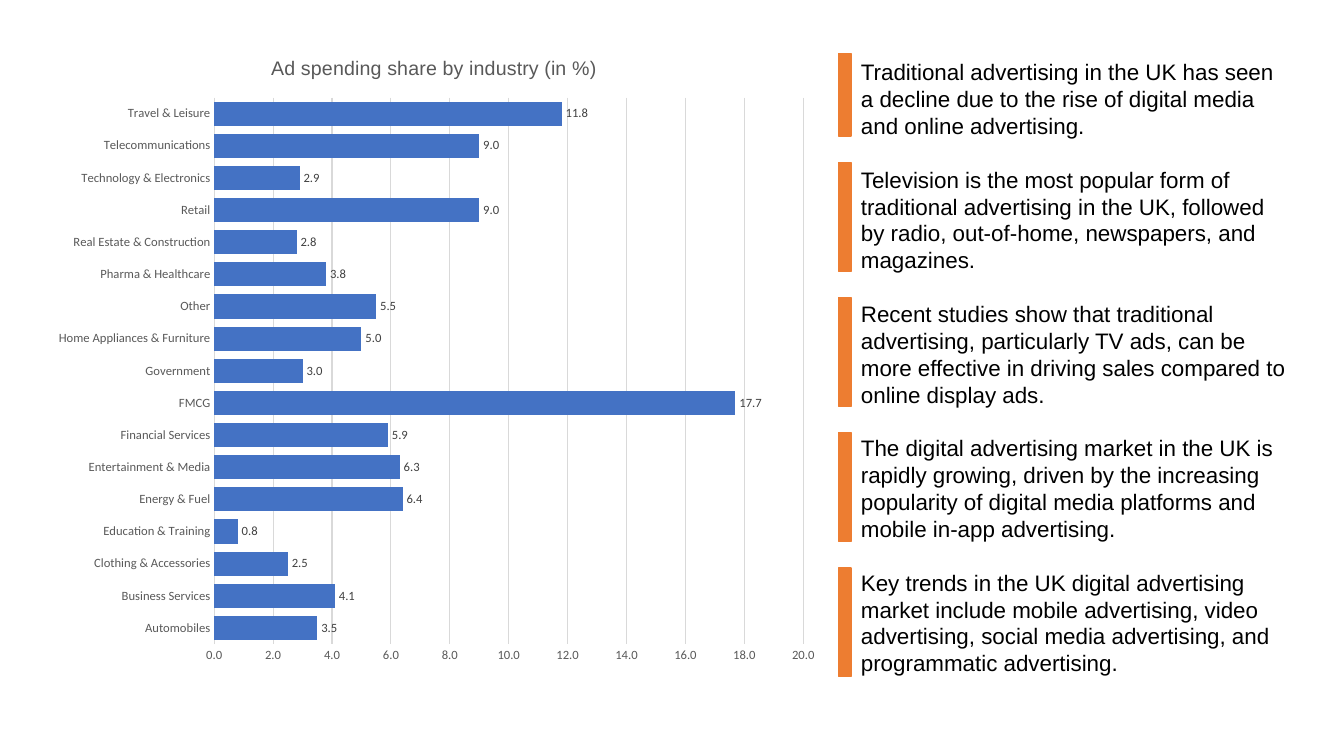
from lxml.etree import SubElement
from pptx import Presentation
from pptx.chart.data import CategoryChartData
from pptx.dml.color import RGBColor
from pptx.enum.chart import XL_CHART_TYPE, XL_LABEL_POSITION, XL_TICK_MARK
from pptx.enum.shapes import MSO_SHAPE
from pptx.oxml.ns import qn
from pptx.util import Inches, Pt

# Theme: colours and type
THEME = {
    "bar": RGBColor(0x44, 0x72, 0xC4),
    "accent": RGBColor(0xED, 0x7D, 0x31),
    "grid": RGBColor(0xD9, 0xD9, 0xD9),
    "title": {"name": "Arial", "size": Pt(14), "bold": False, "color": RGBColor(0x59, 0x59, 0x59)},
    "axis": {"name": "Calibri", "size": Pt(9), "color": RGBColor(0x59, 0x59, 0x59)},
    "value": {"name": "Calibri", "size": Pt(9), "color": RGBColor(0x40, 0x40, 0x40)},
    "insight": {"name": "Arial", "size": Pt(16), "color": RGBColor(0, 0, 0)},
    "leading": Pt(19.2),
}

SPENDING = {
    "Automobiles": 3.5,
    "Business Services": 4.1,
    "Clothing & Accessories": 2.5,
    "Education & Training": 0.8,
    "Energy & Fuel": 6.4,
    "Entertainment & Media": 6.3,
    "Financial Services": 5.9,
    "FMCG": 17.7,
    "Government": 3.0,
    "Home Appliances & Furniture": 5.0,
    "Other": 5.5,
    "Pharma & Healthcare": 3.8,
    "Real Estate & Construction": 2.8,
    "Retail": 9.0,
    "Technology & Electronics": 2.9,
    "Telecommunications": 9.0,
    "Travel & Leisure": 11.8,
}

# Each insight with the number of lines its marker spans
INSIGHTS = [
    ("Traditional advertising in the UK has seen a decline due to the rise of "
     "digital media and online advertising.", 3),
    ("Television is the most popular form of traditional advertising in the UK, "
     "followed by radio, out-of-home, newspapers, and magazines.", 4),
    ("Recent studies show that traditional advertising, particularly TV ads, can be "
     "more effective in driving sales compared to online display ads.", 4),
    ("The digital advertising market in the UK is rapidly growing, driven by the "
     "increasing popularity of digital media platforms and mobile in-app advertising.", 4),
    ("Key trends in the UK digital advertising market include mobile advertising, video "
     "advertising, social media advertising, and programmatic advertising.", 4),
]

deck = Presentation()
deck.slide_width, deck.slide_height = Inches(13.33), Inches(7.5)
slide = deck.slides.add_slide(deck.slide_layouts[6])


def area(left, top, width, height):
    """Turn percentages of the slide into a position and size."""
    return [int(share * side / 100) for share, side in zip(
        (left, top, width, height), (deck.slide_width, deck.slide_height) * 2)]


def style(font, look):
    for key, setting in look.items():
        if key == "color":
            font.color.rgb = setting
        else:
            setattr(font, key, setting)


# Chart of spending shares
spending = CategoryChartData(number_format="0.0")
spending.categories = list(SPENDING)
spending.add_series("Series 1", list(SPENDING.values()))
chart = slide.shapes.add_chart(
    XL_CHART_TYPE.BAR_CLUSTERED, *area(3.08, 4.4, 58.44, 85.07), spending).chart
chart.has_legend = False
chart.has_title = True
chart.chart_title.include_in_layout = False
heading = chart.chart_title.text_frame.paragraphs[0].add_run()
heading.text = "Ad spending share by industry (in %)"
style(heading.font, THEME["title"])

# Plot area as shares of the chart
plot_area = chart._chartSpace.chart.plotArea
for old_layout in plot_area.findall(qn("c:layout")):
    plot_area.remove(old_layout)
layout = SubElement(plot_area, qn("c:layout"))
plot_area.insert(0, layout)
manual = SubElement(layout, qn("c:manualLayout"))
for tag, setting in {"layoutTarget": "inner", "xMode": "edge", "yMode": "edge",
                     "x": 0.22, "y": 0.1, "w": 0.75, "h": 0.85}.items():
    SubElement(manual, qn(f"c:{tag}")).set("val", str(setting))

# Bars and their values
bars = chart.plots[0]
for key, setting in {"gap_width": 33, "overlap": -30, "vary_by_categories": False,
                     "has_data_labels": True}.items():
    setattr(bars, key, setting)
fill = bars.series[0].format.fill
fill.solid()
fill.fore_color.rgb = THEME["bar"]
values = bars.data_labels
for key, setting in {"show_value": True, "number_format": "0.0",
                     "number_format_is_linked": False,
                     "position": XL_LABEL_POSITION.OUTSIDE_END}.items():
    setattr(values, key, setting)
style(values.font, THEME["value"])

# Axes
industries, percent = chart.category_axis, chart.value_axis
for axis in (industries, percent):
    axis.major_tick_mark = axis.minor_tick_mark = XL_TICK_MARK.NONE
    style(axis.tick_labels.font, THEME["axis"])
for key, setting in {"minimum_scale": 0, "maximum_scale": 20, "major_unit": 2,
                     "has_major_gridlines": True}.items():
    setattr(percent, key, setting)
percent.tick_labels.number_format = "0.0"
percent.tick_labels.number_format_is_linked = False
percent.format.line.fill.background()
for line in (industries.format.line, percent.major_gridlines.format.line):
    line.color.rgb = THEME["grid"]
    line.width = Pt(0.75)

# Insights, one empty line apart
FIRST_ROW, ROW, ROW_GAP, MARKER_PAD = 7.07, 3.47, 4, 0.53
insights = slide.shapes.add_textbox(*area(63.32, FIRST_ROW, 33.08, 88)).text_frame
insights.word_wrap = True
marker_top = FIRST_ROW
for number, (insight, lines) in enumerate(INSIGHTS):
    paragraph = insights.add_paragraph() if number else insights.paragraphs[0]
    paragraph.text = insight
    paragraph.line_spacing = THEME["leading"]
    if number:
        paragraph.space_before = THEME["leading"]
    style(paragraph.runs[0].font, THEME["insight"])

    # Marker beside the insight
    marker = slide.shapes.add_shape(
        MSO_SHAPE.RECTANGLE, *area(62.41, marker_top, 0.9, lines * ROW + MARKER_PAD))
    marker.shadow.inherit = False
    marker.fill.solid()
    marker.fill.fore_color.rgb = marker.line.color.rgb = THEME["accent"]
    marker.line.width = Pt(1)
    marker_top += lines * ROW + ROW_GAP

deck.save("out.pptx")
